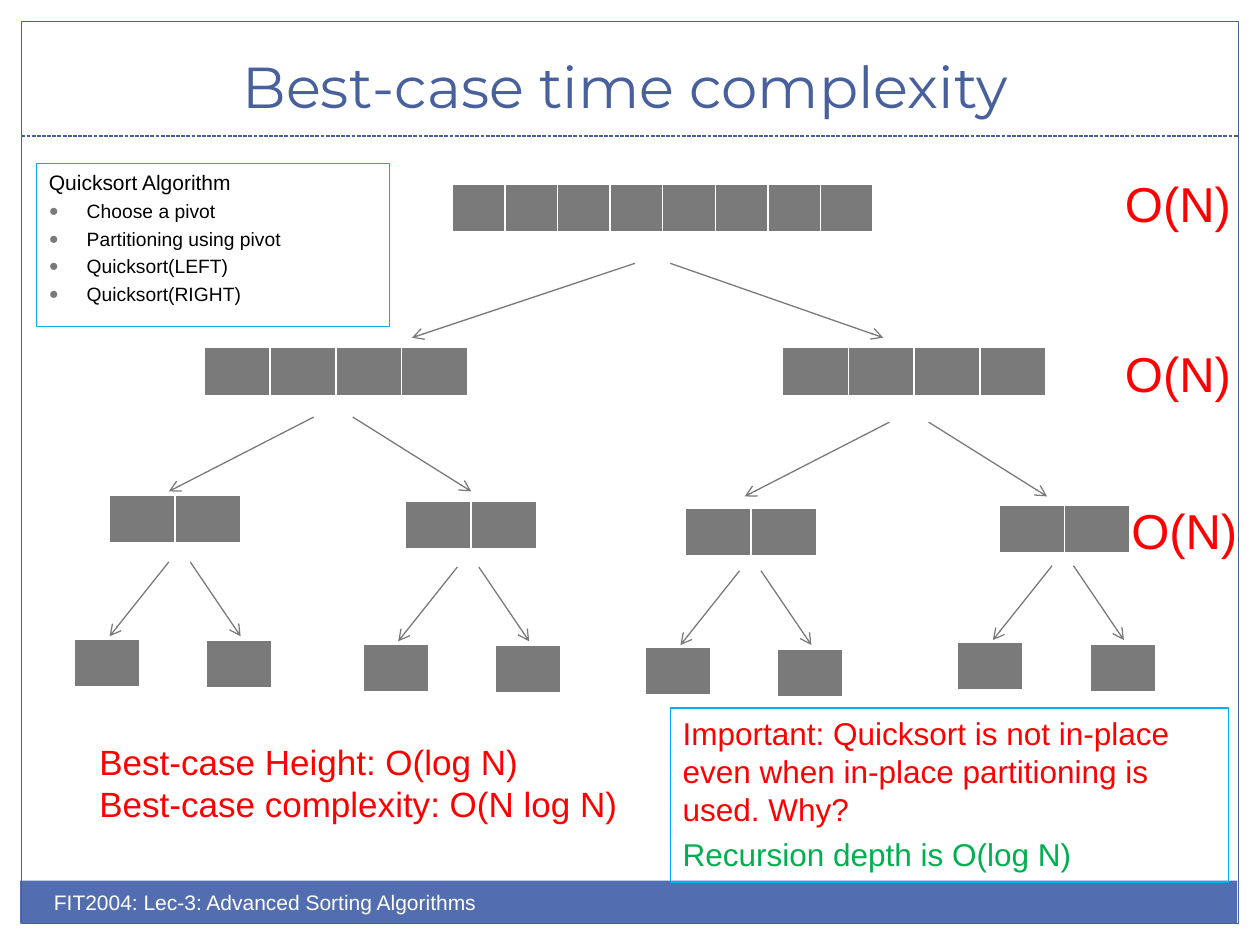
import lxml.etree
import pptx
import pptx.dml.color
import pptx.enum.dml
import pptx.enum.shapes
import pptx.enum.text
import pptx.util
from pptx.oxml.ns import qn

Inches = pptx.util.Inches
COLORS = {
    "white": "FFFFFF", "black": "000000", "gray": "7A7A7A",
    "band": "526DB0", "navy": "48609B", "cyan": "00B0F0",
    "red": "FF0000", "green": "00B050",
}
RECTANGLE = pptx.enum.shapes.MSO_SHAPE.RECTANGLE


def color(name):
    return pptx.dml.color.RGBColor.from_string(COLORS[name])


def add_xml(parent, tag, **attributes):
    return lxml.etree.SubElement(parent, qn(tag), attributes)


def write(frame, text, size=12, ink="black", font="Arial", align="LEFT",
          before=0, bullet=False):
    para = frame.paragraphs[0]
    if para.runs:
        para = frame.add_paragraph()
    para.alignment = getattr(pptx.enum.text.PP_ALIGN, align)
    para.space_before = pptx.util.Pt(before)
    if bullet:
        properties = para._p.get_or_add_pPr()
        properties.set("marL", str(Inches(0.3)))
        properties.set("indent", str(Inches(-0.3)))
        bullet_color = add_xml(properties, "a:buClr")
        add_xml(bullet_color, "a:srgbClr", val=COLORS["gray"])
        add_xml(properties, "a:buSzPct", val="85000")
        add_xml(properties, "a:buFont", typeface="Arial")
        add_xml(properties, "a:buChar", char="●")
    span = para.add_run()
    span.text = text
    span.font.size = pptx.util.Pt(size)
    span.font.name = font
    span.font.color.rgb = color(ink)


class SlideBuilder:
    borders = {"a:lnL": 1, "a:lnR": 1, "a:lnT": 1, "a:lnB": 3}
    line_width = pptx.util.Pt(0.75)
    row_height = 0.39

    def __init__(self, slide):
        self.slide = slide

    def title(self, text, left, top, width, height):
        title = self.slide.shapes.title
        title.left, title.top = Inches(left), Inches(top)
        title.width, title.height = Inches(width), Inches(height)
        frame = title.text_frame
        frame.auto_size = pptx.enum.text.MSO_AUTO_SIZE.NONE
        frame.vertical_anchor = pptx.enum.text.MSO_ANCHOR.BOTTOM
        write(frame, text, size=33, ink="navy", font="Montserrat", align="CENTER")

    def rectangle(self, left, top, width, height, fill=None, line=None):
        box = self.slide.shapes.add_shape(
            RECTANGLE, Inches(left), Inches(top), Inches(width), Inches(height))
        box.shadow.inherit = False
        if fill:
            box.fill.solid()
            box.fill.fore_color.rgb = color(fill)
        else:
            box.fill.background()
        if line:
            box.line.color.rgb = color(line)
            box.line.width = self.line_width
        else:
            box.line.fill.background()
        frame = box.text_frame
        frame.word_wrap = True
        frame.vertical_anchor = pptx.enum.text.MSO_ANCHOR.TOP
        return frame

    def text_box(self, left, top, width, height):
        box = self.slide.shapes.add_textbox(
            Inches(left), Inches(top), Inches(width), Inches(height))
        box.text_frame.word_wrap = True
        return box.text_frame

    def line(self, start, end, ink="gray", dash=None, arrow=True):
        connector = self.slide.shapes.add_connector(
            pptx.enum.shapes.MSO_CONNECTOR.STRAIGHT,
            *(Inches(value) for value in (*start, *end)))
        connector.line.color.rgb = color(ink)
        connector.line.width = self.line_width
        if dash:
            connector.line.dash_style = dash
        if arrow:
            add_xml(connector.line._get_or_add_ln(), "a:tailEnd", type="arrow")
        add_xml(connector._element.spPr, "a:effectLst")

    def fork(self, x, y, left, gap, right, drop=0.59):
        self.line((x, y), (x - left, y + drop))
        self.line((x + gap, y), (x + right, y + drop))

    def array(self, left, top, count, width):
        table = self.slide.shapes.add_table(
            1, count, Inches(left), Inches(top),
            Inches(width), Inches(self.row_height)).table
        table.first_row = False
        table.horz_banding = False
        for cell in table.iter_cells():
            properties = cell._tc.get_or_add_tcPr()
            for tag, points in self.borders.items():
                border = add_xml(properties, tag, w=str(pptx.util.Pt(points)))
                fill = add_xml(border, "a:solidFill")
                add_xml(fill, "a:srgbClr", val=COLORS["white"])
            cell.fill.solid()
            cell.fill.fore_color.rgb = color("gray")
            cell.text_frame.paragraphs[0].font.size = pptx.util.Pt(12)


def main():
    deck = pptx.Presentation()
    deck.slide_width, deck.slide_height = Inches(10), Inches(7.5)
    page = SlideBuilder(deck.slides.add_slide(deck.slide_layouts[5]))

    page.rectangle(0.16, 6.99, 9.66, 0.34, fill="band")
    page.rectangle(0.17, 0.17, 9.66, 7.16, line="navy")
    page.line((0.17, 1.08), (9.83, 1.08), ink="navy", arrow=False,
              dash=pptx.enum.dml.MSO_LINE.SQUARE_DOT)
    page.title("Best-case time complexity", 0.25, -0.25, 9.43, 1.25)

    page.array(3.59, 1.46, 8, 3.34)
    page.fork(5.04, 2.09, left=1.77, gap=0.28, right=1.97)
    for left in (1.62, 6.21):
        page.array(left, 2.76, 4, 2.09)
    for x, y in ((2.49, 3.31), (7.06, 3.35)):
        page.fork(x, y, left=1.15, gap=0.31, right=1.25)
    for left, top in ((0.87, 3.93), (3.22, 3.98), (5.44, 4.03), (7.93, 4.01)):
        page.array(left, top, 2, 1.04)
    for x, y in ((1.34, 4.46), (3.63, 4.5), (5.87, 4.53), (8.35, 4.49)):
        page.fork(x, y, left=0.47, gap=0.17, right=0.57)
        page.array(x - 0.75, y + 0.61, 1, 0.52)
        page.array(x + 0.3, y + 0.62, 1, 0.52)

    for left, top in ((8.88, 3.92), (8.83, 2.68), (8.83, 1.33)):
        write(page.text_box(left, top, 1.12, 0.57), "O(N)", size=28, ink="red")

    summary = page.text_box(0.69, 5.83, 5.16, 0.77)
    for text in ("Best-case Height: O(log N)", "Best-case complexity: O(N log N)"):
        write(summary, text, size=20, ink="red")

    remark = page.rectangle(5.32, 5.62, 4.43, 1.38, line="cyan")
    write(remark, "Important: Quicksort is not in-place even when in-place "
          "partitioning is used. Why?", size=18, ink="red")
    write(remark, "Recursion depth is O(log N)", size=18, ink="green", before=4.4)

    footer = page.text_box(0.33, 7.01, 5, 0.4)
    write(footer, "FIT2004: Lec-3: Advanced Sorting Algorithms", ink="white")

    algorithm = page.rectangle(0.29, 1.3, 2.8, 1.29, line="cyan")
    write(algorithm, "Quicksort Algorithm")
    for step in ("Choose a pivot", "Partitioning using pivot",
                 "Quicksort(LEFT)", "Quicksort(RIGHT)"):
        write(algorithm, step, size=11, before=2.5, bullet=True)

    deck.save("out.pptx")


if __name__ == "__main__":
    main()
